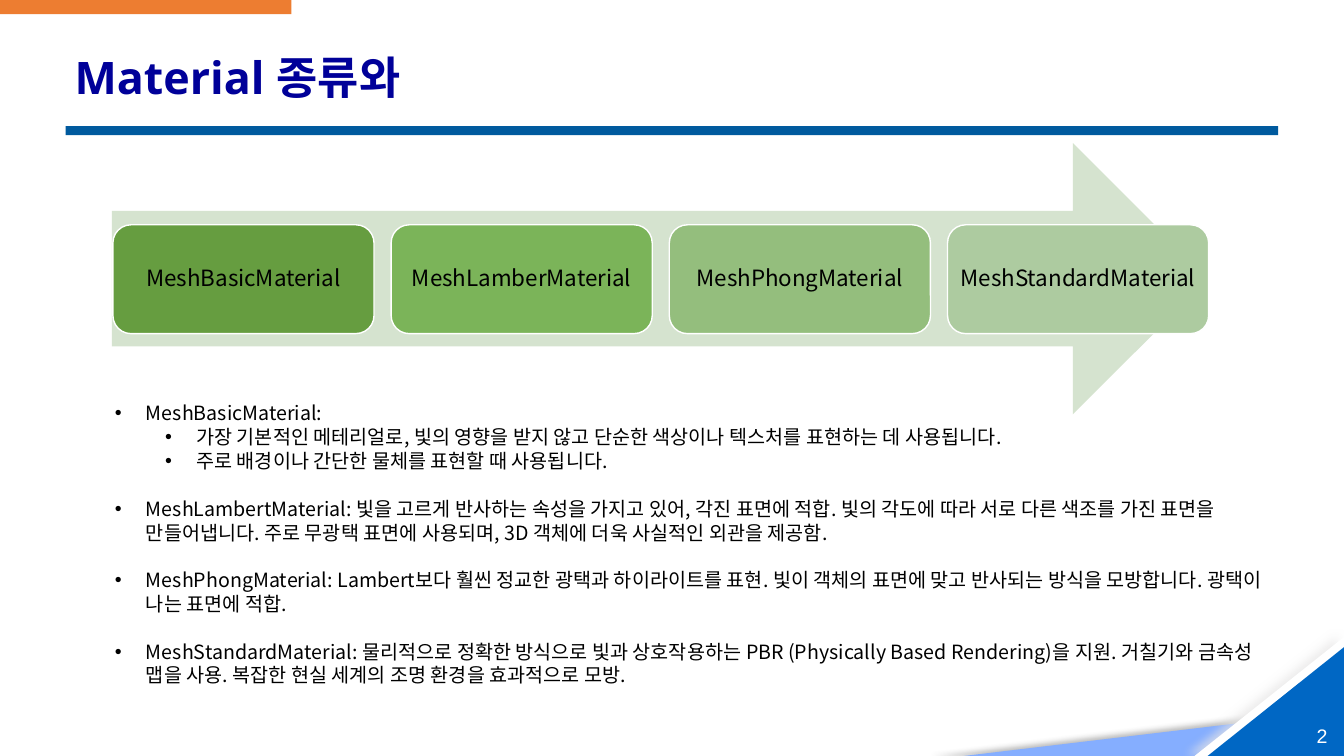
from lxml import etree
from pptx import Presentation
from pptx.dml.color import RGBColor
from pptx.enum.shapes import MSO_SHAPE as SHAPE
from pptx.enum.text import MSO_ANCHOR as ANCHOR, PP_ALIGN as ALIGN
from pptx.oxml.ns import qn
from pptx.util import Inches, Pt

COLORS = {
    "navy": "000099", "rule": "005A9E", "accent": "ED7D31", "corner": "0067C4",
    "corner_light": "85AEFF", "white": "FFFFFF", "black": "000000",
    "arrow": "D5E3CF", "shade_dark": "595959", "shade_light": "E7E6E6",
}
CARDS = [
    ("MeshBasicMaterial", "669D40"),
    ("MeshLamberMaterial", "7BB459"),
    ("MeshPhongMaterial", "94BE7D"),
    ("MeshStandardMaterial", "ADCBA0"),
]
# Level, gap before in points, text
NOTES = [
    (0, 0, "MeshBasicMaterial:"),
    (1, 0, "가장 기본적인 메테리얼로, 빛의 영향을 받지 않고 단순한 색상이나 텍스처를 "
           "표현하는 데 사용됩니다."),
    (1, 0, "주로 배경이나 간단한 물체를 표현할 때 사용됩니다."),
    (0, 17, "MeshLambertMaterial: 빛을 고르게 반사하는 속성을 가지고 있어, 각진 표면에 적합. "
            "빛의 각도에 따라 서로 다른 색조를 가진 표면을 만들어냅니다. "
            "주로 무광택 표면에 사용되며, 3D 객체에 더욱 사실적인 외관을 제공함."),
    (0, 17, "MeshPhongMaterial: Lambert보다 훨씬 정교한 광택과 하이라이트를 표현. "
            "빛이 객체의 표면에 맞고 반사되는 방식을 모방합니다. 광택이 나는 표면에 적합."),
    (0, 17, "MeshStandardMaterial: 물리적으로 정확한 방식으로 빛과 상호작용하는 "
            "PBR (Physically Based Rendering)을 지원. 거칠기와 금속성 맵을 사용. "
            "복잡한 현실 세계의 조명 환경을 효과적으로 모방."),
]


def rgb(name):
    return RGBColor.from_string(COLORS.get(name, name))


class Deck:
    """Places elements by percent of the slide's width and height."""

    title_font = "Open Sans"
    body_font = "Noto Sans CJK KR"
    number_font = "Arial"

    def __init__(self):
        self.prs = Presentation()
        self.prs.slide_width, self.prs.slide_height = Inches(13.33), Inches(7.5)
        self.slide = self.prs.slides.add_slide(self.prs.slide_layouts[5])

    def area(self, x, y, w, h):
        sw, sh = self.prs.slide_width, self.prs.slide_height
        return [round(v * size / 100) for v, size in zip((x, y, w, h), (sw, sh, sw, sh))]

    def run(self, p, text, size, font, color, bold=False):
        r = p.add_run()
        r.text = text
        r.font.size, r.font.name, r.font.bold = Pt(size), font, bold
        r.font.color.rgb = rgb(color)
        etree.SubElement(r.font._element, qn("a:ea"), typeface=font)

    def frame(self, sp, anchor, inset=None, wrap=True):
        tf = sp.text_frame
        tf.word_wrap, tf.vertical_anchor = wrap, anchor
        if inset is not None:
            tf.margin_left = tf.margin_right = tf.margin_top = tf.margin_bottom = Inches(inset)
        return tf

    def shape(self, kind, box, fill, line=None):
        sp = self.slide.shapes.add_shape(kind, *self.area(*box))
        sp.shadow.inherit = False
        sp.fill.solid()
        sp.fill.fore_color.rgb = rgb(fill)
        if line:
            sp.line.color.rgb, sp.line.width = rgb(line), Pt(1)
        else:
            sp.line.fill.background()
        return sp

    def corner(self, box, fill, shadow=None):
        sp = self.shape(SHAPE.RIGHT_TRIANGLE, box, fill)
        props = sp._element.spPr
        props.find(qn("a:xfrm")).set("flipH", "1")
        if shadow:
            color, alpha, blur, dist, angle = shadow
            outer = etree.SubElement(
                props.find(qn("a:effectLst")), qn("a:outerShdw"), blurRad=str(Pt(blur)),
                dist=str(Pt(dist)), dir=str(angle * 60000), algn="ctr", rotWithShape="0")
            clr = etree.SubElement(outer, qn("a:srgbClr"), val=COLORS[color])
            etree.SubElement(clr, qn("a:alpha"), val=str(alpha * 1000))

    def title(self, text, box):
        sp = self.slide.shapes.title
        sp.left, sp.top, sp.width, sp.height = self.area(*box)
        p = self.frame(sp, ANCHOR.MIDDLE).paragraphs[0]
        p.alignment, p.line_spacing = ALIGN.LEFT, 0.9
        self.run(p, text, 32, self.title_font, "navy", True)

    def card(self, text, box, fill):
        sp = self.shape(SHAPE.ROUNDED_RECTANGLE, box, fill, "white")
        p = self.frame(sp, ANCHOR.MIDDLE, 0.07, False).paragraphs[0]
        p.alignment, p.line_spacing = ALIGN.CENTER, 0.9
        self.run(p, text, 16, self.body_font, "black")

    def bullets(self, notes, box):
        sp = self.slide.shapes.add_textbox(*self.area(*box))
        tf = self.frame(sp, ANCHOR.TOP)
        for i, (level, gap, text) in enumerate(notes):
            p = tf.add_paragraph() if i else tf.paragraphs[0]
            p.level, p.space_before, p.line_spacing = level, Pt(gap), Pt(17)
            pr = p._p.get_or_add_pPr()
            pr.set("marL", str(Inches(0.31 + 0.5 * level)))
            pr.set("indent", str(Inches(-0.31)))
            etree.SubElement(pr, qn("a:buFont"), typeface="Arial")
            etree.SubElement(pr, qn("a:buChar"), char="•")
            self.run(p, text, 14, self.body_font, "black")

    def number(self, text, box):
        sp = self.slide.shapes.add_textbox(*self.area(*box))
        p = self.frame(sp, ANCHOR.MIDDLE, 0, False).paragraphs[0]
        p.alignment = ALIGN.RIGHT
        self.run(p, text, 14, self.number_font, "white")


def main():
    deck = Deck()

    # Corner decoration and bars
    deck.corner((71.7, 94, 28.3, 6), "corner_light", ("shade_dark", 40, 4, 22, 180))
    deck.corner((88.88, 84.27, 11.12, 15.73), "white", ("shade_light", 69, 7, 5, 190))
    deck.corner((89.85, 85.6, 10.15, 14.4), "corner")
    deck.shape(SHAPE.RECTANGLE, (4.88, 16.67, 90.23, 1.2), "rule")
    deck.shape(SHAPE.RECTANGLE, (0, 0, 21.68, 1.87), "accent")

    # Heading and page number
    deck.number("2", (97.95, 95.73, 0.83, 3.2))
    deck.title("Material 종류와", (4.8, 5.33, 90.23, 10.4))

    # Arrow with the four materials
    deck.shape(SHAPE.RIGHT_ARROW, (8.33, 18.93, 81.6, 35.87), "arrow")
    for i, (name, fill) in enumerate(CARDS):
        deck.card(name, (8.4 + 20.7 * i, 29.73, 19.43, 14.4), fill)

    # Descriptions
    deck.bullets(NOTES, (7.8, 52.4, 87.9, 39.07))

    deck.prs.save("out.pptx")


if __name__ == "__main__":
    main()
